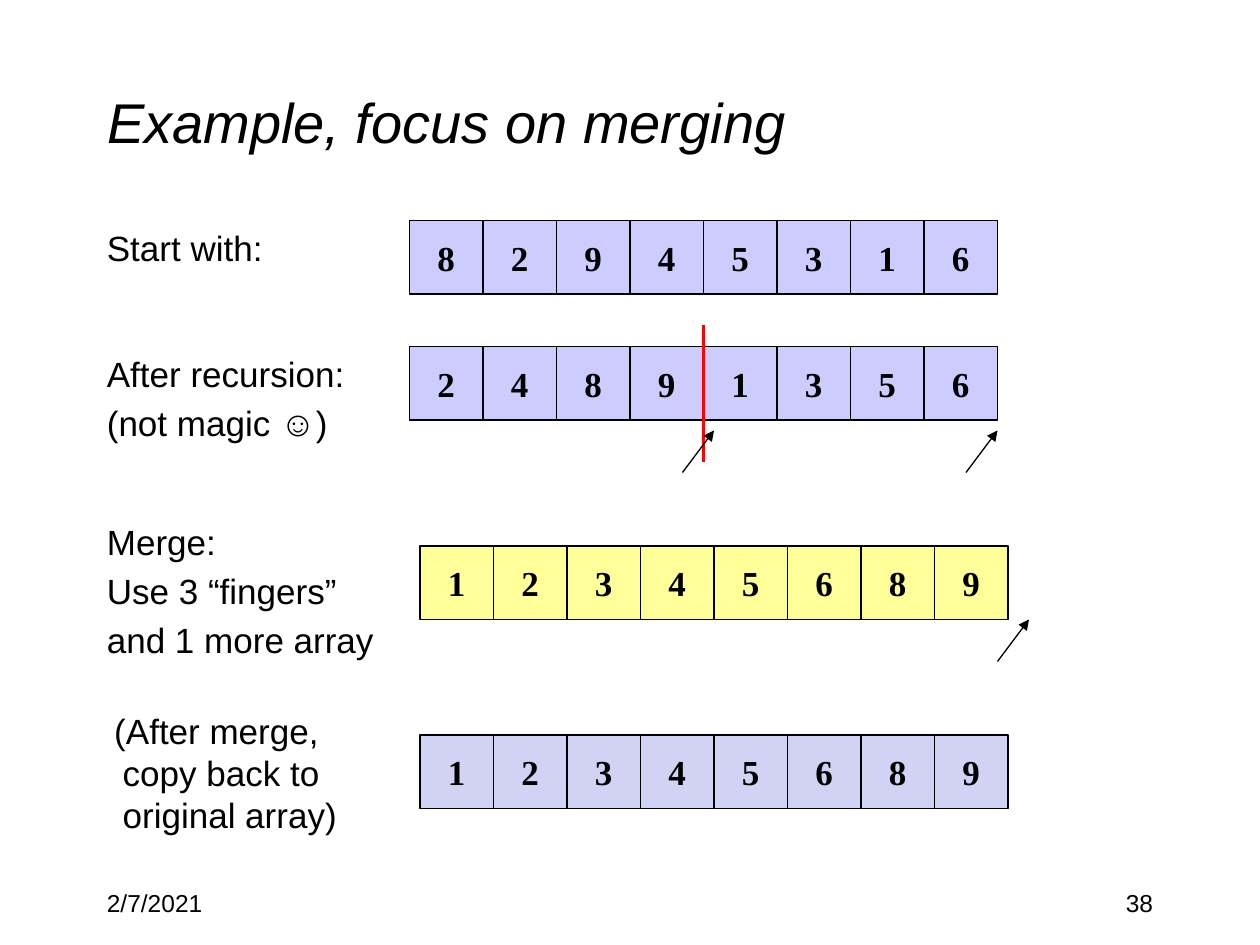
from pptx import Presentation
from pptx.dml.color import RGBColor
from pptx.enum.shapes import MSO_CONNECTOR as Link, MSO_SHAPE as Kind
from pptx.enum.text import MSO_ANCHOR as Anchor, MSO_AUTO_SIZE as Fit, PP_ALIGN as Align
from pptx.oxml.ns import qn
from pptx.util import Pt
from lxml.etree import SubElement as Sub

BLACK = RGBColor(0x00, 0x00, 0x00)
RED = RGBColor(0xFF, 0x00, 0x00)
BLUE = RGBColor(0xCC, 0xCC, 0xFF)
YELLOW = RGBColor(0xFF, 0xFF, 0x99)
PALE = RGBColor(0xD2, 0xD2, 0xF4)

CELL = 42
TITLE = {"name": "Arial", "size": Pt(32), "italic": True}
LABEL = {"name": "Arial", "size": Pt(20)}
DIGIT = {"name": "Times New Roman", "size": Pt(20), "bold": True}
SMALL = {"name": "Arial", "size": Pt(14)}

NOTES = [
    ((54, 126, 114, 78), ["Start with:"], -27),
    ((54, 198, 174, 78), ["After recursion:", "(not magic ☺)"], -27),
    ((54, 294, 174, 96), ["Merge:", "Use 3 “fingers”", "and 1 more array"], -27),
    ((36, 402, 174, 96), ["(After merge, copy back to original array)"], -4.8),
]
ROWS = [
    ((234, 126), "82945316", BLUE),
    ((234, 198), "24891356", BLUE),
    ((240, 312), "12345689", YELLOW),
    ((240, 420), "12345689", PALE),
]
FINGERS = [(390, 270), (552, 270), (570, 378)]


def style(para, form):
    for key, value in form.items():
        setattr(para.font, key, value)
    para.font.color.rgb = BLACK


def add_title(slide, box, text):
    title = slide.shapes.title
    for side, size in zip(("left", "top", "width", "height"), box):
        setattr(title, side, Pt(size))
    frame = title.text_frame
    frame.text = text
    frame.auto_size = Fit.NONE
    frame.vertical_anchor = Anchor.MIDDLE
    para = frame.paragraphs[0]
    para.alignment = Align.LEFT
    style(para, TITLE)


def add_text(slide, box, lines, form, align=Align.LEFT):
    frame = slide.shapes.add_textbox(*map(Pt, box)).text_frame
    frame.word_wrap = True
    frame.text = "\n".join(lines)
    for para in frame.paragraphs:
        para.alignment = align
        style(para, form)
    return frame.paragraphs


def add_note(slide, box, lines, first):
    for place, para in enumerate(add_text(slide, box, lines, LABEL)):
        para.line_spacing = Pt(24)
        if place:
            para.space_before = Pt(4)
        props = para._p.get_or_add_pPr()
        props.set("marL", str(Pt(27)))
        props.set("indent", str(Pt(first)))


def add_row(slide, spot, digits, fill):
    left, top = spot
    for place, digit in enumerate(digits):
        box = (left + place * CELL, top, CELL, CELL)
        cell = slide.shapes.add_shape(Kind.RECTANGLE, *map(Pt, box))
        cell.shadow.inherit = False
        cell.fill.solid()
        cell.fill.fore_color.rgb = fill
        cell.line.color.rgb = BLACK
        cell.line.width = Pt(0.75)
        frame = cell.text_frame
        frame.word_wrap = False
        frame.vertical_anchor = Anchor.MIDDLE
        frame.text = digit
        para = frame.paragraphs[0]
        para.alignment = Align.CENTER
        style(para, DIGIT)


def add_line(slide, ends, color, width):
    link = slide.shapes.add_connector(Link.STRAIGHT, *map(Pt, ends))
    link.line.color.rgb = color
    link.line.width = Pt(width)
    Sub(link._element.spPr, qn("a:effectLst"))
    return link


def add_finger(slide, spot):
    left, base = spot
    link = add_line(slide, (left, base, left + 18, base - 24), BLACK, 0.75)
    Sub(link.line._get_or_add_ln(), qn("a:tailEnd"), type="triangle")


def main():
    deck = Presentation()
    deck.slide_width, deck.slide_height = Pt(720), Pt(540)
    slide = deck.slides.add_slide(deck.slide_layouts[5])
    add_title(slide, (54, 24, 612, 90), "Example, focus on merging")
    for box, lines, first in NOTES:
        add_note(slide, box, lines, first)
    for spot, digits, fill in ROWS:
        add_row(slide, spot, digits, fill)
    add_line(slide, (402, 186, 402, 264), RED, 2.25)
    for spot in FINGERS:
        add_finger(slide, spot)
    add_text(slide, (54, 504, 150, 36), ["2/7/2021"], SMALL)
    add_text(slide, (516, 504, 150, 36), ["38"], SMALL, Align.RIGHT)
    deck.save("out.pptx")


if __name__ == "__main__":
    main()
